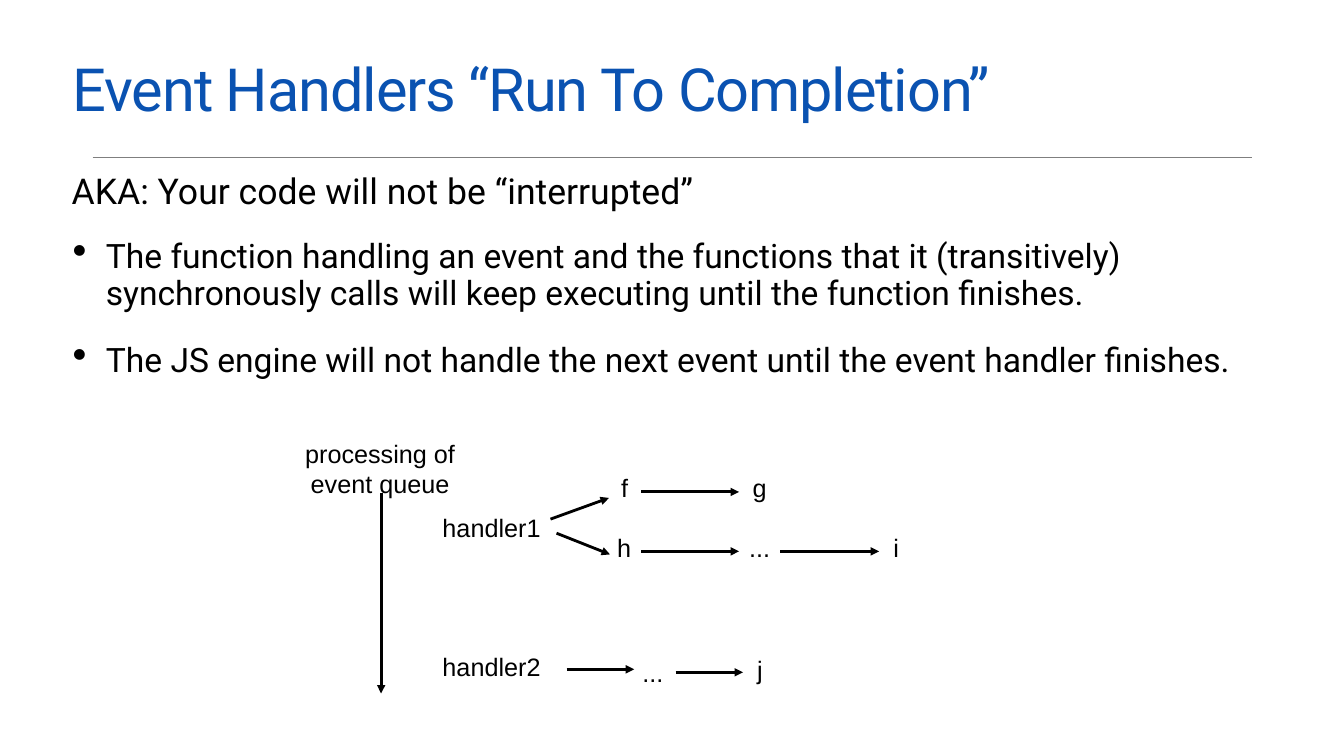
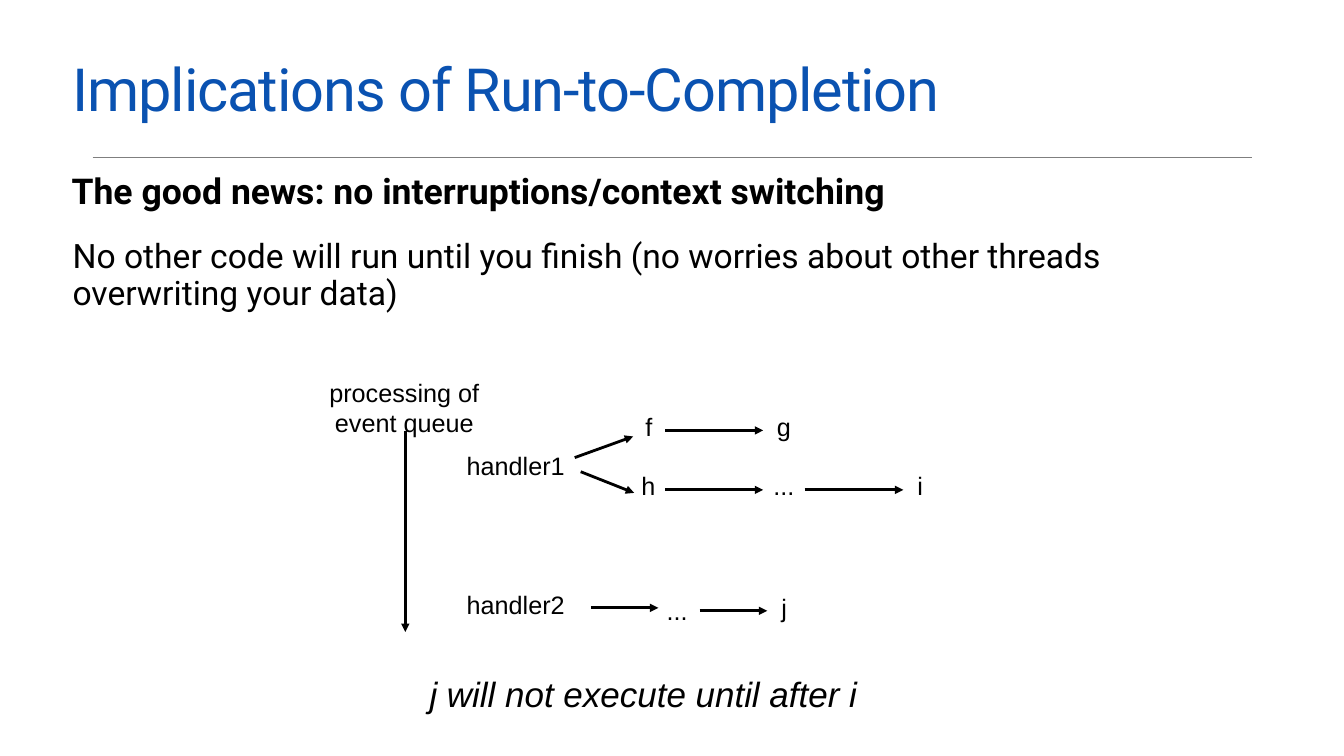
from lxml.etree import SubElement
from pptx import Presentation
from pptx.dml.color import RGBColor
from pptx.enum.shapes import MSO_CONNECTOR as Connector
from pptx.enum.text import MSO_ANCHOR as Anchor, MSO_AUTO_SIZE as AutoSize, PP_ALIGN as Align
from pptx.oxml.ns import qn
from pptx.util import Emu, Pt

EMU_PER_PX = 9144
BLACK, TITLE_BLUE, RULE_GRAY = "000000", "0A52B1", "7F7F7F"
LEFT, CONTENT_WIDTH = 66, 1201

TITLE = {"name": "Roboto", "size": Pt(42.5)}
LEAD = {"name": "Roboto", "size": Pt(25.4)}
BODY = {"name": "Roboto", "size": Pt(24)}
LABEL = {"name": "Arial", "size": Pt(18)}
CAPTION = {"name": "Arial", "size": Pt(25), "italic": True}

HANDLER, FIRST_CALL, LOWER_CALL, SECOND_CALL, THIRD_CALL = 217, 349, 377, 483, 618
TOP_ROW, BRANCH_ROW = 34, 93

CALLS = [
    ("handler1", HANDLER, 73, 107),
    ("f", FIRST_CALL, TOP_ROW, 15),
    ("g", SECOND_CALL, TOP_ROW, 23),
    ("h", FIRST_CALL, BRANCH_ROW, 22),
    ("...", SECOND_CALL, BRANCH_ROW, 29),
    ("i", THIRD_CALL, BRANCH_ROW, 13),
    ("handler2", HANDLER, 211, 107),
    ("...", LOWER_CALL, 217, 29),
    ("j", SECOND_CALL, 214, 13),
]
ARROWS = [
    (366, 57, 463, 57),
    (366, 116, 463, 116),
    (504, 116, 602, 116),
    (276, 84, 334, 63),
    (282, 98, 335, 119),
    (292, 233, 359, 233),
    (400, 236, 467, 236),
    (108, 58, 108, 257),
]


def px(length):
    return Emu(length * EMU_PER_PX)


def color(value):
    return RGBColor.from_string(value)


def apply(target, values):
    for name, value in values.items():
        setattr(target, name, value)


def add_bullet(paragraph):
    properties = paragraph._p.get_or_add_pPr()
    properties.set("marL", str(px(33)))
    properties.set("indent", str(px(-33)))
    SubElement(properties, qn("a:buSzPct")).set("val", "123000")
    SubElement(properties, qn("a:buChar")).set("char", "•")


def add_text(slide, bounds, paragraphs, font, ink=BLACK, inset=4, bullets=False,
             frame_format=None, paragraph_format=None):
    frame = slide.shapes.add_textbox(*map(px, bounds)).text_frame
    margins = {f"margin_{side}": px(inset) for side in ("left", "top", "right", "bottom")}
    apply(frame, {"word_wrap": True, **margins, **(frame_format or {})})
    for index, text in enumerate(paragraphs):
        paragraph = frame.add_paragraph() if index else frame.paragraphs[0]
        if bullets:
            add_bullet(paragraph)
        apply(paragraph, paragraph_format or {})
        if index:
            paragraph.space_before = Pt(22.5)
        run = paragraph.add_run()
        run.text = text
        apply(run.font, font)
        run.font.color.rgb = color(ink)
    return frame


def add_line(slide, ends, ink, width, arrow=False):
    connector = slide.shapes.add_connector(Connector.STRAIGHT, *map(px, ends))
    connector.line.color.rgb = color(ink)
    connector.line.width = Pt(width)
    if arrow:
        SubElement(connector.line._get_or_add_ln(), qn("a:tailEnd")).set("type", "triangle")
    SubElement(connector._element.spPr, qn("a:effectLst"))


def add_label(slide, bounds, text, wrap=False):
    add_text(slide, bounds, [text], LABEL,
             frame_format={"word_wrap": wrap, "vertical_anchor": Anchor.MIDDLE,
                           "auto_size": AutoSize.SHAPE_TO_FIT_TEXT},
             paragraph_format={"alignment": Align.CENTER})


def add_event_diagram(slide, left, top):
    for text, center, row, width in CALLS:
        add_label(slide, (left + center - width // 2, top + row, width, 38), text)
    for x1, y1, x2, y2 in ARROWS:
        add_line(slide, (left + x1, top + y1, left + x2, top + y2), BLACK, 2, arrow=True)
    add_label(slide, (left, top, 214, 68), "processing of event queue", wrap=True)


def add_content_slide(deck, title, lead, body, bold_lead=False, bullets=False):
    slide = deck.slides.add_slide(deck.slide_layouts[6])
    add_line(slide, (92, 156, 1242, 156), RULE_GRAY, 0.75)
    heading = add_text(slide, (LEFT, 59, CONTENT_WIDTH, 78), [title], TITLE, TITLE_BLUE,
                       inset=6, paragraph_format={"line_spacing": 0.8})
    heading.paragraphs[0].runs[0].font._element.set("spc", "-80")
    add_text(slide, (LEFT, 167, CONTENT_WIDTH, 51), [lead], {**LEAD, "bold": bold_lead},
             inset=5, paragraph_format={"line_spacing": 0.9})
    add_text(slide, (LEFT, 232, CONTENT_WIDTH, 451), body, BODY, inset=6,
             bullets=bullets, paragraph_format={"line_spacing": 0.9})
    return slide


def main():
    deck = Presentation()
    apply(deck, {"slide_width": px(1333), "slide_height": px(750)})

    completion = add_content_slide(
        deck, "Event Handlers “Run To Completion”",
        "AKA: Your code will not be “interrupted”",
        ["The function handling an event and the functions that it (transitively) "
         "synchronously calls will keep executing until the function finishes.",
         "The JS engine will not handle the next event until the event handler finishes."],
        bullets=True)
    add_event_diagram(completion, 270, 431)

    implications = add_content_slide(
        deck, "Implications of Run-to-Completion",
        "The good news: no interruptions/context switching",
        ["No other code will run until you finish (no worries about other threads "
         "overwriting your data)"],
        bold_lead=True)
    add_event_diagram(implications, 294, 370)
    add_text(implications, (422, 663, 437, 50), ["j will not execute until after i"], CAPTION,
             frame_format={"word_wrap": False, "vertical_anchor": Anchor.MIDDLE,
                           "auto_size": AutoSize.SHAPE_TO_FIT_TEXT})

    deck.save("out.pptx")


if __name__ == "__main__":
    main()
